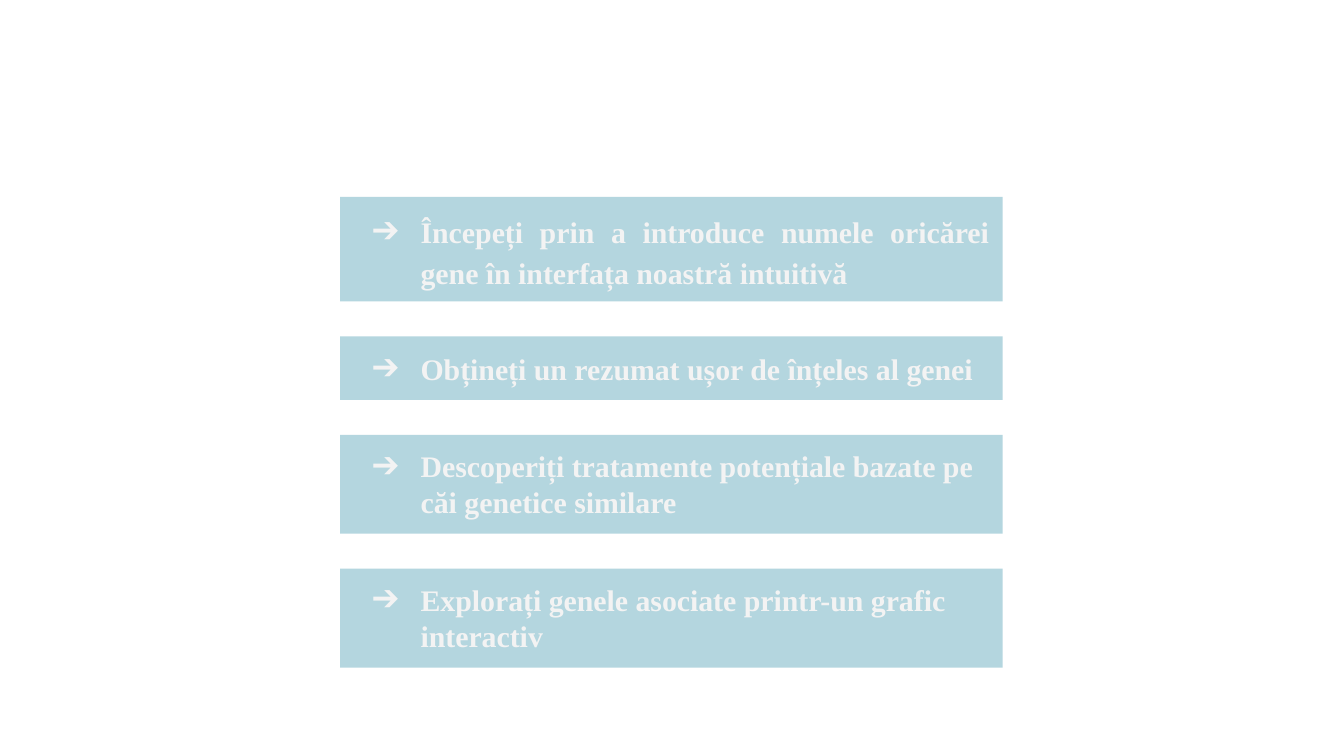
from lxml import etree
from pptx import Presentation
from pptx.dml.color import RGBColor
from pptx.enum.shapes import MSO_SHAPE
from pptx.enum.text import MSO_ANCHOR, MSO_AUTO_SIZE, PP_ALIGN
from pptx.oxml.ns import qn
from pptx.util import Cm, Pt

RECTANGLE = MSO_SHAPE.RECTANGLE
TOP, MIDDLE = MSO_ANCHOR.TOP, MSO_ANCHOR.MIDDLE
LEFT, JUSTIFY = PP_ALIGN.LEFT, PP_ALIGN.JUSTIFY
FIT_SHAPE = MSO_AUTO_SIZE.SHAPE_TO_FIT_TEXT

COLORS = {"box": "3E96AE", "text": "F3F3F3"}
FONT = "Times New Roman"
BOX_LEFT, BOX_WIDTH = 6.43, 12.52
FIRST_TOP, GAP = 3.72, 0.66
INSET = Cm(0.25)

# Text, height in cm, anchor, alignment, line spacing, space before in points
STEPS = [
    ("Începeți prin a introduce numele oricărei gene în interfața noastră intuitivă",
     1.98, MIDDLE, JUSTIFY, 1.15, 12),
    ("Obțineți un rezumat ușor de înțeles al genei", 1.2, MIDDLE, LEFT, 1.0, 0),
    ("Descoperiți tratamente potențiale bazate pe căi genetice similare",
     1.87, TOP, LEFT, 1.0, 0),
    ("Explorați genele asociate printr-un grafic interactiv",
     1.87, TOP, LEFT, 1.0, 0),
]


def add_arrow_bullet(paragraph):
    properties = paragraph._p.get_or_add_pPr()
    properties.set("marL", str(Cm(1.27)))
    properties.set("indent", str(Cm(-0.91)))
    color = etree.SubElement(properties, qn("a:buClr"))
    etree.SubElement(color, qn("a:srgbClr"), val=COLORS["text"])
    etree.SubElement(properties, qn("a:buFont"), typeface=FONT)
    etree.SubElement(properties, qn("a:buChar"), char="➔")


presentation = Presentation()
presentation.slide_width = Cm(25.4)
presentation.slide_height = Cm(14.29)
slide = presentation.slides.add_slide(presentation.slide_layouts[6])

# Stack of step boxes with equal gaps
top = FIRST_TOP
for text, height, anchor, alignment, line_spacing, space_before in STEPS:
    shape = slide.shapes.add_shape(
        RECTANGLE, Cm(BOX_LEFT), Cm(top), Cm(BOX_WIDTH), Cm(height))
    top += height + GAP

    # Translucent box without outline
    shape.shadow.inherit = False
    shape.line.fill.background()
    shape.fill.solid()
    shape.fill.fore_color.rgb = RGBColor.from_string(COLORS["box"])
    fill_color = shape._element.spPr.find(qn("a:solidFill")).find(qn("a:srgbClr"))
    etree.SubElement(fill_color, qn("a:alpha"), val="39000")

    # Bulleted text
    frame = shape.text_frame
    frame.word_wrap = True
    frame.auto_size = FIT_SHAPE
    frame.vertical_anchor = anchor
    frame.margin_left = frame.margin_right = INSET
    frame.margin_top = frame.margin_bottom = INSET
    paragraph = frame.paragraphs[0]
    paragraph.text = text
    paragraph.alignment = alignment
    paragraph.line_spacing = line_spacing
    paragraph.space_before = Pt(space_before)
    add_arrow_bullet(paragraph)
    paragraph.font.name = FONT
    paragraph.font.size = Pt(16)
    paragraph.font.bold = True
    paragraph.font.color.rgb = RGBColor.from_string(COLORS["text"])

presentation.save("out.pptx")
